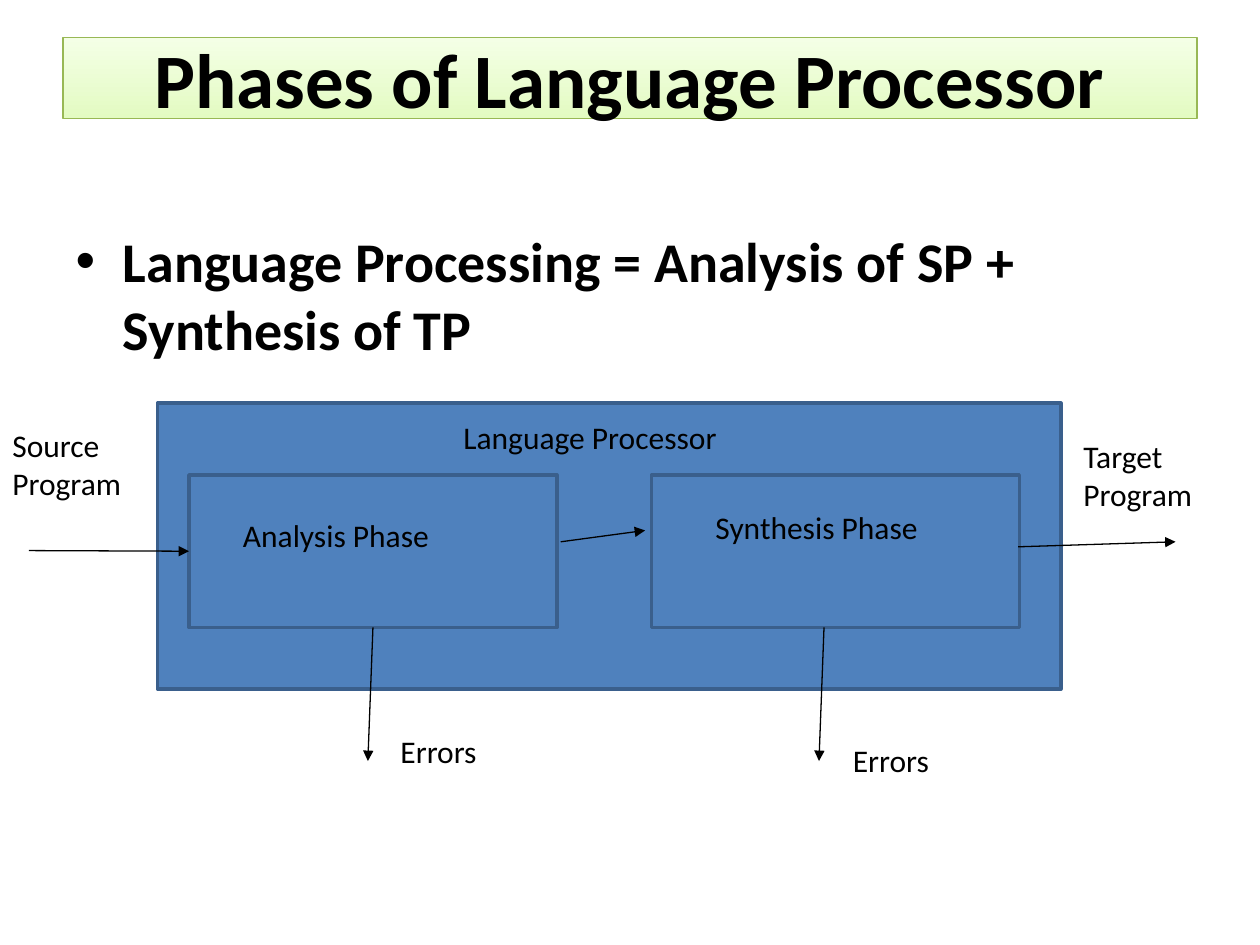
from lxml.etree import SubElement
from pptx import Presentation
from pptx.dml.color import RGBColor
from pptx.enum.shapes import MSO_CONNECTOR, MSO_SHAPE
from pptx.enum.text import MSO_ANCHOR, MSO_AUTO_SIZE, PP_ALIGN
from pptx.oxml.ns import qn
from pptx.util import Inches, Pt

COLORS = {
    "text": "000000",
    "title_bottom": "E3FBC2",
    "title_top": "F4FFE6",
    "title_line": "98B855",
    "box": "4F81BD",
    "box_line": "3A5F8C",
}
FORMATS = {
    "title": {"name": "Calibri", "size": Pt(44), "bold": True},
    "body": {"name": "Calibri", "size": Pt(32), "bold": True},
    "label": {"name": "Calibri", "size": Pt(18), "bold": False},
}


def color(name):
    return RGBColor.from_string(COLORS[name])


def write_text(shape, text, style):
    frame = shape.text_frame
    frame.word_wrap = True
    frame.auto_size = MSO_AUTO_SIZE.NONE
    paragraph = frame.paragraphs[0]
    run = paragraph.add_run()
    run.text = text
    for attribute, value in FORMATS[style].items():
        setattr(run.font, attribute, value)
    run.font.color.rgb = color("text")
    return paragraph


presentation = Presentation()
presentation.slide_width = Inches(10)
presentation.slide_height = Inches(7.5)
slide = presentation.slides.add_slide(presentation.slide_layouts[1])

# Title and bullet placeholders
title, body = slide.placeholders
for placeholder, top, height in ((title, 0.3, 0.64), (body, 1.75, 4.95)):
    placeholder.left, placeholder.top = Inches(0.5), Inches(top)
    placeholder.width, placeholder.height = Inches(9), Inches(height)

title.fill.gradient()
title.fill.gradient_angle = 90
for stop, name, position in zip(title.fill.gradient_stops, ("title_bottom", "title_top"), (0, 1)):
    stop.color.rgb = color(name)
    stop.position = position
title.line.color.rgb = color("title_line")
title.line.width = Pt(0.75)
title.text_frame.vertical_anchor = MSO_ANCHOR.MIDDLE
write_text(title, "Phases of Language Processor", "title").alignment = PP_ALIGN.CENTER
write_text(body, "Language Processing = Analysis of SP + Synthesis of TP", "body")

# Processor box with its two phases
boxes = {}
for name, left, top, width, height in (
    ("processor", 1.25, 3.2, 7.17, 2.27),
    ("analysis", 1.5, 3.77, 2.92, 1.21),
    ("synthesis", 5.17, 3.77, 2.92, 1.21),
):
    box = slide.shapes.add_shape(
        MSO_SHAPE.RECTANGLE, Inches(left), Inches(top), Inches(width), Inches(height)
    )
    box.shadow.inherit = False
    box.fill.solid()
    box.fill.fore_color.rgb = color("box")
    box.line.color.rgb = color("box_line")
    box.line.width = Pt(2)
    boxes[name] = box

# Labels
for text, left, top, width, height in (
    ("Source Program", 0, 3.33, 1.17, 1),
    ("Target Program", 8.5, 3.42, 1.33, 0.7),
    ("Language Processor", 3.58, 3.27, 2.83, 0.4),
    ("Analysis Phase", 1.83, 4.05, 2.25, 0.4),
    ("Synthesis Phase", 5.58, 3.98, 2, 0.7),
    ("Errors", 3.08, 5.76, 1.33, 0.4),
    ("Errors", 6.67, 5.83, 1.08, 0.4),
):
    label = slide.shapes.add_textbox(Inches(left), Inches(top), Inches(width), Inches(height))
    write_text(label, text, "label")

# Arrows
arrows = {}
for name, start_x, start_y, end_x, end_y in (
    ("source", 0.23, 4.37, 1.5, 4.37),
    ("between phases", 4.45, 4.3, 5.12, 4.21),
    ("target", 8.08, 4.34, 9.33, 4.3),
    ("analysis errors", 2.96, 4.98, 2.92, 6.04),
    ("synthesis errors", 6.54, 4.98, 6.5, 6.04),
):
    arrow = slide.shapes.add_connector(
        MSO_CONNECTOR.STRAIGHT, Inches(start_x), Inches(start_y), Inches(end_x), Inches(end_y)
    )
    arrow.line.color.rgb = color("text")
    arrow.line.width = Pt(0.75)
    SubElement(arrow.line._get_or_add_ln(), qn("a:tailEnd"), type="triangle")
    SubElement(arrow._element.spPr, qn("a:effectLst"))
    arrows[name] = arrow

arrows["source"].end_connect(boxes["analysis"], 1)
arrows["analysis errors"].begin_connect(boxes["analysis"], 2)

presentation.save("out.pptx")
